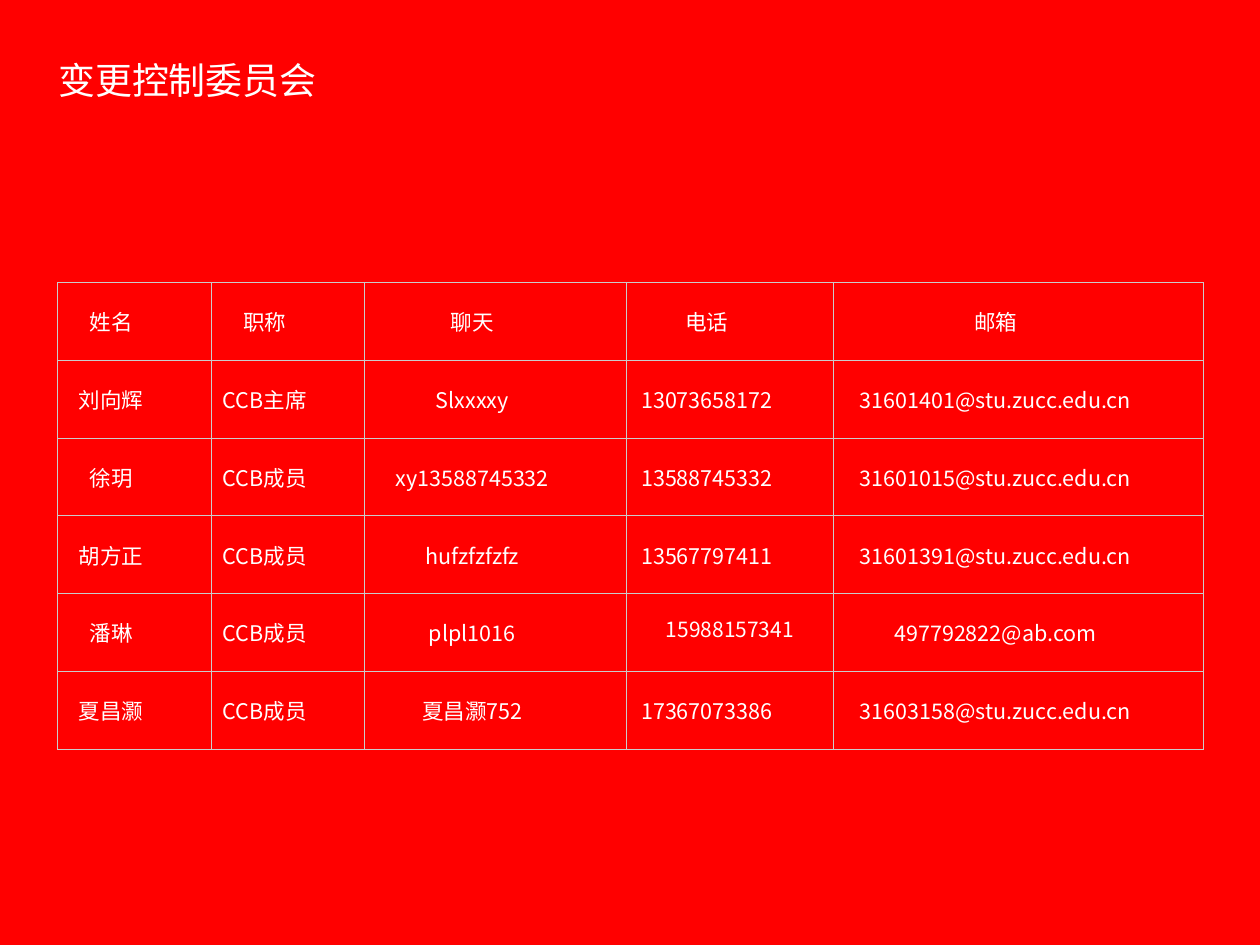
import pptx
import pptx.util
import pptx.dml.color
import pptx.enum.text
import pptx.oxml
import pptx.oxml.ns
from dataclasses import dataclass

Cm, Pt = pptx.util.Cm, pptx.util.Pt
Rgb = pptx.dml.color.RGBColor.from_string
Align = pptx.enum.text.PP_ALIGN
Anchor = pptx.enum.text.MSO_ANCHOR

# Content
TITLE = "变更控制委员会"
ROWS = [
    ("姓名", "职称", "聊天", "电话", "邮箱"),
    ("刘向辉", "CCB主席", "Slxxxxy", "13073658172", "31601401@stu.zucc.edu.cn"),
    ("徐玥", "CCB成员", "xy13588745332", "13588745332", "31601015@stu.zucc.edu.cn"),
    ("胡方正", "CCB成员", "hufzfzfzfz", "13567797411", "31601391@stu.zucc.edu.cn"),
    ("潘琳", "CCB成员", "plpl1016", "15988157341", "497792822@ab.com"),
    ("夏昌灏", "CCB成员", "夏昌灏752", "17367073386", "31603158@stu.zucc.edu.cn"),
]
ODD = (4, 3)  # the phone number set smaller and without the shift
WIDTHS = (4.4, 4.4, 7.5, 5.95, 10.6)
HEIGHT = 2.23
PAD, SHIFT = 0.18, 1.32


@dataclass
class Theme:
    back: str = "FF0000"
    ink: str = "FFFFFF"
    rule: str = "CBCBCB"
    face: str = "Noto Sans CJK SC"
    head: float = 30
    body: float = 17.5
    small: float = 17
    line: float = 0.5


theme = Theme()


def style(para, size):
    font = para.font
    font.size, font.name = Pt(size), theme.face
    font.color.rgb = Rgb(theme.ink)
    # East Asian letters need their own face
    props = para._p.pPr.find(pptx.oxml.ns.qn("a:defRPr"))
    props.append(pptx.oxml.parse_xml(
        f'<a:ea {pptx.oxml.ns.nsdecls("a")} typeface="{theme.face}"/>'))


def border(cell):
    props = cell._tc.get_or_add_tcPr()
    for spot, side in enumerate("LRTB"):
        props.insert(spot, pptx.oxml.parse_xml(
            f'<a:ln{side} {pptx.oxml.ns.nsdecls("a")} w="{Pt(theme.line)}">'
            f'<a:solidFill><a:srgbClr val="{theme.rule}"/></a:solidFill>'
            f'</a:ln{side}>'))


def write(cell, text, odd):
    cell.text = text
    cell.vertical_anchor = Anchor.MIDDLE
    cell.margin_top = cell.margin_bottom = 0
    cell.margin_left = Cm(PAD)
    cell.margin_right = Cm(PAD if odd else PAD + SHIFT)
    cell.fill.background()
    border(cell)
    para = cell.text_frame.paragraphs[0]
    para.alignment = Align.CENTER
    if odd:
        para.line_spacing = Pt(19)
    style(para, theme.small if odd else theme.body)


def main():
    deck = pptx.Presentation()
    deck.slide_width, deck.slide_height = Cm(36.12), Cm(27.1)
    slide = deck.slides.add_slide(deck.slide_layouts[6])
    slide.background.fill.solid()
    slide.background.fill.fore_color.rgb = Rgb(theme.back)

    # Title
    frame = slide.shapes.add_textbox(
        Cm(1.52), Cm(1.4), Cm(7.72), Cm(1.75)).text_frame
    frame.margin_left = frame.margin_right = Cm(0.15)
    frame.margin_top = frame.margin_bottom = Cm(0.15)
    frame.vertical_anchor = Anchor.MIDDLE
    frame.word_wrap = False
    frame.auto_size = pptx.enum.text.MSO_AUTO_SIZE.SHAPE_TO_FIT_TEXT
    frame.text = TITLE
    style(frame.paragraphs[0], theme.head)

    # Member table
    table = slide.shapes.add_table(
        len(ROWS), len(WIDTHS), Cm(1.65), Cm(8.1),
        Cm(sum(WIDTHS)), Cm(HEIGHT * len(ROWS))).table
    table.first_row = table.horz_banding = False
    for col, width in zip(table.columns, WIDTHS):
        col.width = Cm(width)
    for r, row in enumerate(ROWS):
        table.rows[r].height = Cm(HEIGHT)
        for c, text in enumerate(row):
            write(table.cell(r, c), text, (r, c) == ODD)

    deck.save("out.pptx")


if __name__ == "__main__":
    main()
